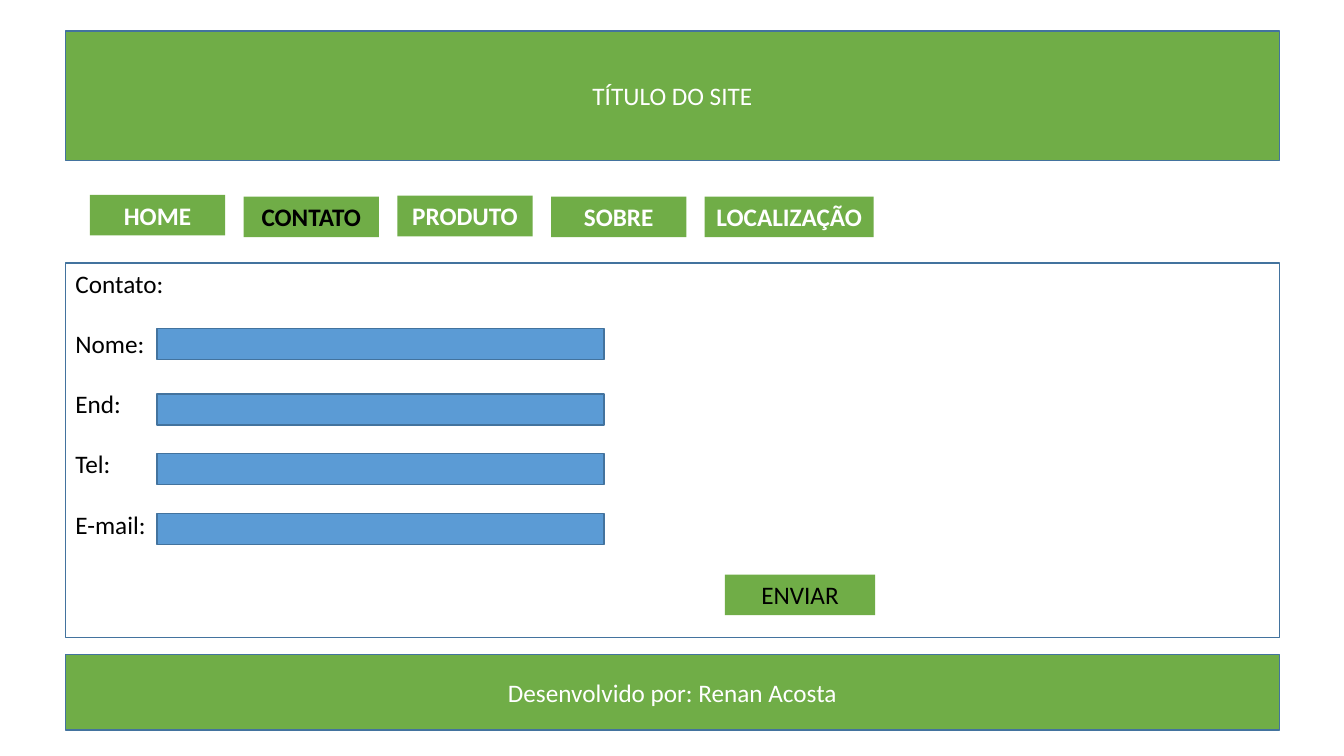
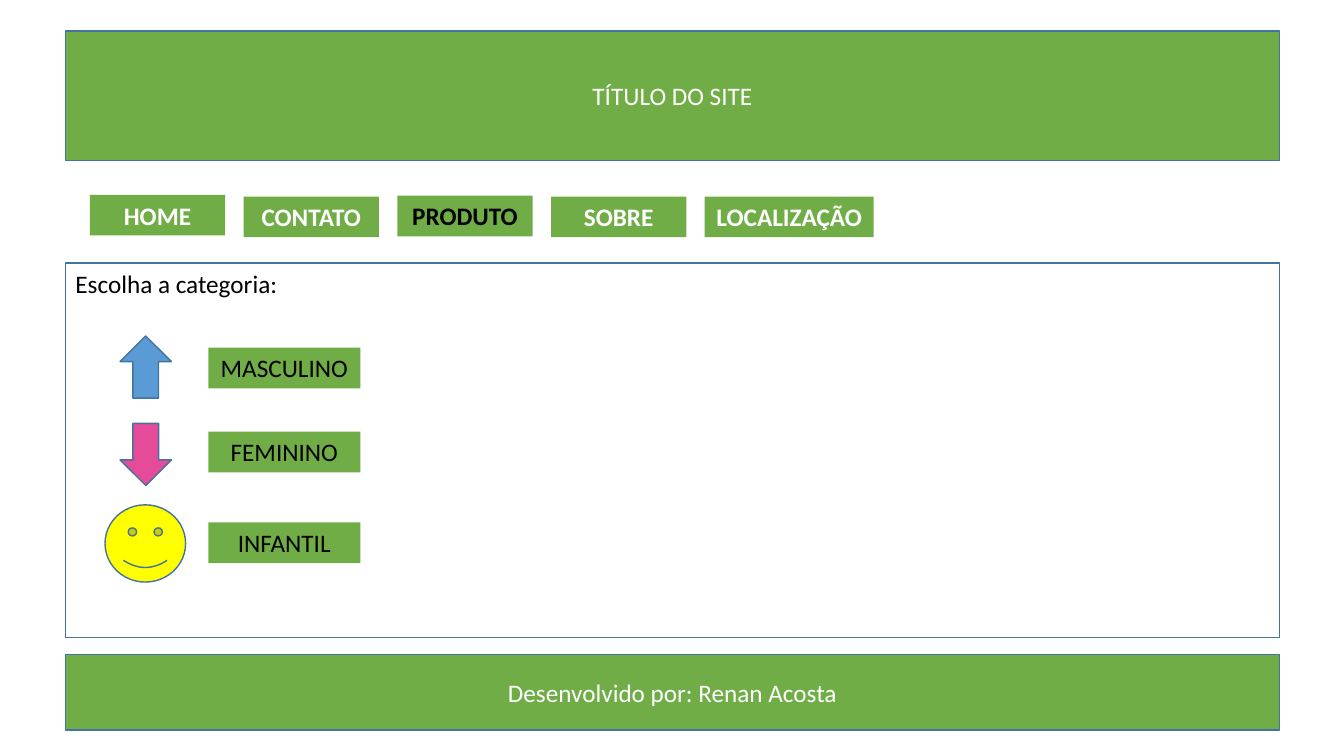
"""Builds two wireframe pages of a small web site: contact form and product categories."""
from pptx import Presentation
from pptx.dml.color import RGBColor
from pptx.enum.shapes import MSO_SHAPE as Shape
from pptx.enum.text import MSO_ANCHOR as Anchor, MSO_AUTO_SIZE as AutoSize, PP_ALIGN as Align
from pptx.util import Inches, Pt

GREEN = RGBColor(0x70, 0xAD, 0x47)
BLUE = RGBColor(0x5B, 0x9B, 0xD5)
NAVY = RGBColor(0x43, 0x73, 0x9E)
PINK = RGBColor(0xE5, 0x4B, 0x98)
YELLOW = RGBColor(0xFF, 0xFF, 0x00)
WHITE = RGBColor(0xFF, 0xFF, 0xFF)
BLACK = RGBColor(0x00, 0x00, 0x00)

SLIDE_WIDTH, SLIDE_HEIGHT = Inches(13.33), Inches(7.5)
COLUMNS, ROWS = 160, 90

PAGE_LEFT, PAGE_WIDTH = 7.8, 144.5
BUTTON_ROWS = 4.84
NAV_LEFT, NAV_STEP = 10.7, 18.3
NAV_ITEMS = [
    ("HOME", 23.2, 16.1),
    ("CONTATO", 23.4, 16.1),
    ("PRODUTO", 23.3, 16.1),
    ("SOBRE", 23.4, 16.1),
    ("LOCALIZAÇÃO", 23.4, 20.1),
]
FORM_LABELS = ["Contato:", "Nome:", "End:", "Tel:", "E-mail:"]
FIELD_ROWS = [39.1, 46.9, 54, 61.1]
CATEGORIES = [
    ("MASCULINO", 41.4, Shape.UP_ARROW, BLUE, (14.3, 40, 6.1, 7.4), 0),
    ("FEMININO", 51.4, Shape.UP_ARROW, PINK, (14.3, 50.4, 6.1, 7.4), 180),
    ("INFANTIL", 62.2, Shape.SMILEY_FACE, YELLOW, (12.5, 60.1, 9.6, 9.2), 0),
]

BASE_FONT = {"name": "Calibri", "size": Pt(18)}
BAND_FRAME = {"word_wrap": True, "vertical_anchor": Anchor.MIDDLE}
PANEL_FRAME = {"word_wrap": True, "vertical_anchor": Anchor.TOP}
BUTTON_FRAME = {**PANEL_FRAME, "auto_size": AutoSize.SHAPE_TO_FIT_TEXT}
CENTRED = {"alignment": Align.CENTER}
FORM_LINES = {"alignment": Align.LEFT, "space_after": Pt(21.5)}


def apply_format(target, values):
    """Set every attribute named in a dict of format values."""
    for attribute, value in values.items():
        setattr(target, attribute, value)


def add_figure(slide, kind, area, fill, outline=NAVY):
    """Place a flat preset shape on the grid, outlined unless outline is None."""
    left, top, width, height = area
    column, row = SLIDE_WIDTH / COLUMNS, SLIDE_HEIGHT / ROWS
    figure = slide.shapes.add_shape(
        kind, round(left * column), round(top * row),
        round(width * column), round(height * row))
    figure.shadow.inherit = False
    figure.fill.solid()
    figure.fill.fore_color.rgb = fill
    if outline is None:
        figure.line.fill.background()
    else:
        figure.line.color.rgb = outline
        figure.line.width = Pt(1)
    return figure


def write_lines(figure, lines, color, frame_format, line_format, bold=False):
    """Write one paragraph for each line of text."""
    frame = figure.text_frame
    apply_format(frame, frame_format)
    for index, line in enumerate(lines):
        paragraph = frame.add_paragraph() if index else frame.paragraphs[0]
        apply_format(paragraph, line_format)
        run = paragraph.add_run()
        run.text = line
        apply_format(run.font, {**BASE_FONT, "bold": bold})
        run.font.color.rgb = color


def add_band(slide, text, top, height):
    """Add a full-width green band with centred white text."""
    band = add_figure(slide, Shape.RECTANGLE, (PAGE_LEFT, top, PAGE_WIDTH, height), GREEN)
    write_lines(band, [text], WHITE, BAND_FRAME, CENTRED)


def add_button(slide, text, left, top, width, color=BLACK, bold=False):
    """Add a green button without outline."""
    area = (left, top, width, BUTTON_ROWS)
    button = add_figure(slide, Shape.RECTANGLE, area, GREEN, None)
    write_lines(button, [text], color, BUTTON_FRAME, CENTRED, bold)


def add_page(presentation, current, lines):
    """Add a page with bands, content panel and menu, marking the current item."""
    slide = presentation.slides.add_slide(presentation.slide_layouts[6])
    add_band(slide, "TÍTULO DO SITE", 3.7, 15.4)
    add_band(slide, "Desenvolvido por: Renan Acosta", 77.9, 9)
    panel = add_figure(slide, Shape.RECTANGLE, (PAGE_LEFT, 31.3, PAGE_WIDTH, 44.6), WHITE)
    write_lines(panel, lines, BLACK, PANEL_FRAME, FORM_LINES)
    for index, (item, top, width) in enumerate(NAV_ITEMS):
        color = BLACK if item == current else WHITE
        add_button(slide, item, NAV_LEFT + index * NAV_STEP, top, width, color, True)
    return slide


def add_contact_page(presentation):
    """Add the contact form."""
    slide = add_page(presentation, "CONTATO", FORM_LABELS)
    for top in FIELD_ROWS:
        add_figure(slide, Shape.RECTANGLE, (18.7, top, 53.2, 3.7), BLUE)
    add_button(slide, "ENVIAR", 86.3, 68.4, 17.9)


def add_product_page(presentation):
    """Add the choice of product categories."""
    slide = add_page(presentation, "PRODUTO", ["Escolha a categoria:"])
    for category, top, symbol, color, area, rotation in CATEGORIES:
        add_figure(slide, symbol, area, color).rotation = rotation
        add_button(slide, category, 24.8, top, 18.1)


def main():
    """Build and save the presentation."""
    presentation = Presentation()
    apply_format(presentation, {"slide_width": SLIDE_WIDTH, "slide_height": SLIDE_HEIGHT})
    add_contact_page(presentation)
    add_product_page(presentation)
    presentation.save("out.pptx")


main()
